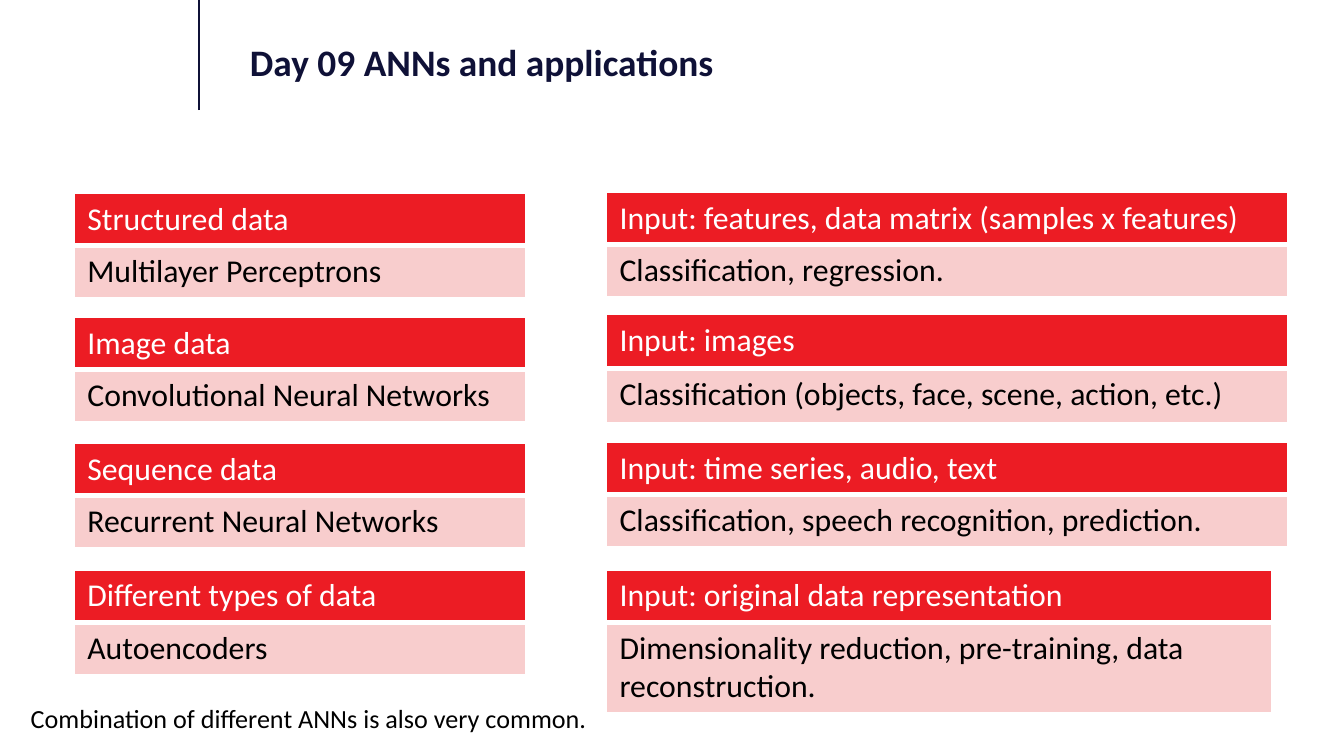
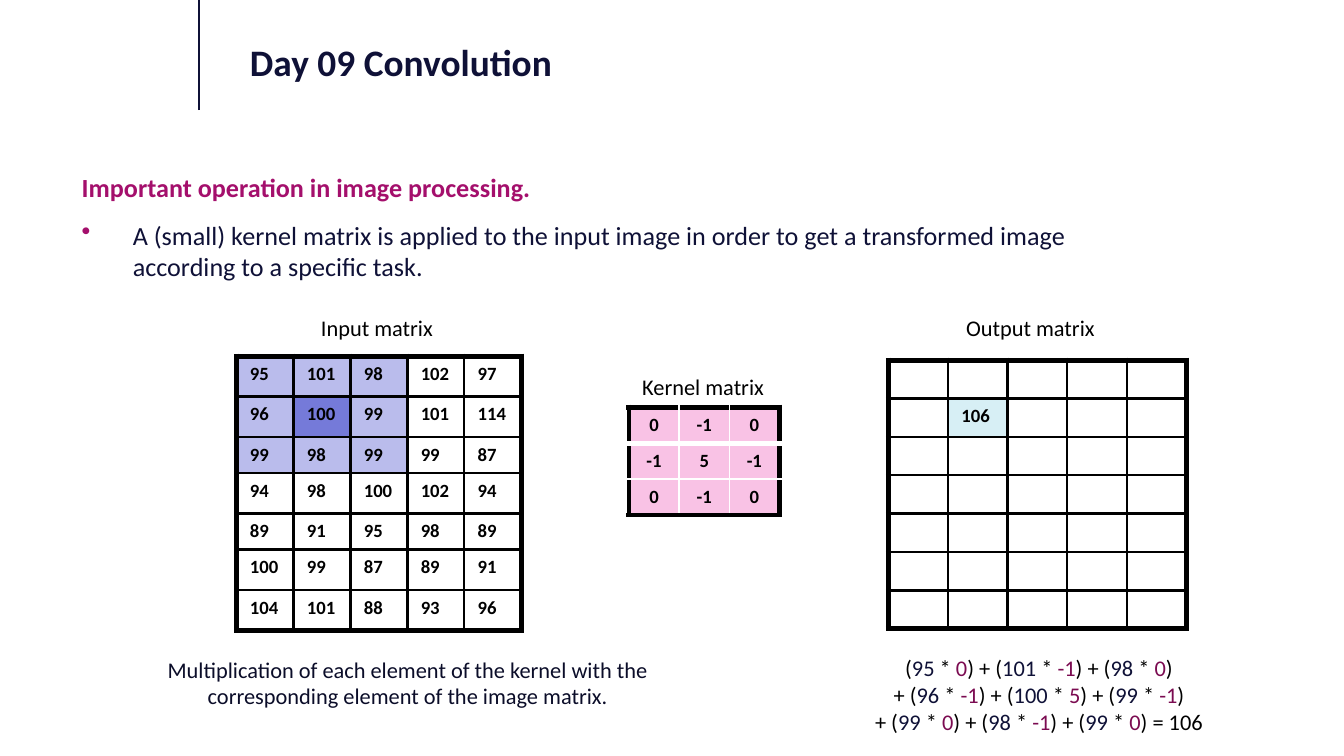
import typing
from dataclasses import dataclass

import pptx
import pptx.dml.color
import pptx.enum.shapes
import pptx.enum.text
import pptx.oxml.ns
import pptx.slide
import pptx.table
import pptx.text.text
import pptx.util
from lxml import etree

ALIGN = pptx.enum.text.PP_ALIGN
ANCHOR = pptx.enum.text.MSO_ANCHOR
AUTO_SIZE = pptx.enum.text.MSO_AUTO_SIZE

# Slide grid: 100 columns by 56.25 rows of square units
UNIT = pptx.util.Inches(0.1)
GRID_COLUMNS, GRID_ROWS = 100, 56.25

FONT = "Calibri"
NAVY, INK, MAGENTA, PLUM = "0F1137", "0B0D29", "A40F6C", "7B0B51"
BLACK, WHITE, RED, BLUSH = "000000", "FFFFFF", "EC1C24", "F8CDCD"
LILAC, VIOLET, PINK, ICE = "BABCEC", "757AD9", "F9C2E5", "D7EFF5"


class Place(typing.NamedTuple):
    """Left, top, width and height in grid units."""
    left: float
    top: float
    width: float
    height: float


class Edge(typing.NamedTuple):
    colour: str
    points: float


class Span(typing.NamedTuple):
    text: str
    colour: str = BLACK


@dataclass(frozen=True)
class Borders:
    outer: Edge
    inner: Edge
    under_header: Edge


@dataclass(frozen=True)
class CellStyle:
    text: str
    fill: str | None = WHITE
    colour: str = BLACK


@dataclass(frozen=True)
class Label:
    place: Place
    lines: list[list[Span]]
    size: float = 12
    bold: bool = False
    wrap: bool = False
    grow: bool = True
    align: ALIGN = ALIGN.LEFT
    bullet: str = ""


@dataclass(frozen=True)
class Grid:
    place: Place
    cells: list[list[CellStyle]]
    rows: list[float]
    borders: Borders
    size: float
    bold: bool = False
    align: ALIGN = ALIGN.LEFT


LIGHT = Borders(Edge(WHITE, 1), Edge(WHITE, 1), Edge(WHITE, 3))
RULED = Borders(Edge(BLACK, 3), Edge(BLACK, 1.5), Edge(BLACK, 1.5))
FRAMED = Borders(Edge(BLACK, 3), Edge(WHITE, 1), Edge(WHITE, 3))


# Shared helpers
def rgb(colour: str) -> pptx.dml.color.RGBColor:
    return pptx.dml.color.RGBColor.from_string(colour)


def units(count: float) -> pptx.util.Emu:
    return pptx.util.Emu(round(count * UNIT))


def frame(place: Place) -> tuple[pptx.util.Emu, ...]:
    return tuple(units(length) for length in place)


def set_format(target: object, values: dict[str, object]) -> None:
    for name, value in values.items():
        setattr(target, name, value)


def add_element(parent: etree._Element, tag: str, **attributes: str) -> etree._Element:
    return etree.SubElement(parent, pptx.oxml.ns.qn(tag), attributes)


def write_spans(para: pptx.text.text._Paragraph, spans: list[Span],
                size: float, bold: bool) -> None:
    for item in spans:
        span = para.add_run()
        span.text = item.text
        set_format(span.font, {"name": FONT, "size": pptx.util.Pt(size), "bold": bold})
        span.font.color.rgb = rgb(item.colour)


def add_bullet(para: pptx.text.text._Paragraph, mark: str) -> None:
    properties = para._p.get_or_add_pPr()
    indent = units(3.8)
    properties.set("marL", str(indent))
    properties.set("indent", str(-indent))
    add_element(add_element(properties, "a:buClr"), "a:srgbClr", val=MAGENTA)
    add_element(properties, "a:buChar", char=mark)


def add_label(page: pptx.slide.Slide, label: Label) -> None:
    box = page.shapes.add_textbox(*frame(label.place))
    text = box.text_frame
    set_format(text, {
        "word_wrap": label.wrap,
        "auto_size": AUTO_SIZE.SHAPE_TO_FIT_TEXT if label.grow else AUTO_SIZE.NONE,
        "vertical_anchor": ANCHOR.TOP,
    })
    for index, spans in enumerate(label.lines):
        para = text.add_paragraph() if index else text.paragraphs[0]
        para.alignment = label.align
        if label.bullet:
            add_bullet(para, label.bullet)
        write_spans(para, spans, label.size, label.bold)


def draw_borders(cell: pptx.table._Cell, edges: dict[str, Edge]) -> None:
    properties = cell._tc.get_or_add_tcPr()
    for index, (side, edge) in enumerate(edges.items()):
        line = add_element(properties, f"a:ln{side}", w=str(pptx.util.Pt(edge.points)))
        add_element(add_element(line, "a:solidFill"), "a:srgbClr", val=edge.colour)
        properties.insert(index, line)


def cell_edges(borders: Borders, row: int, column: int,
               last_row: int, last_column: int) -> dict[str, Edge]:
    below = borders.inner if row else borders.under_header
    return {
        "L": borders.inner if column else borders.outer,
        "R": borders.inner if column < last_column else borders.outer,
        "T": borders.inner if row else borders.outer,
        "B": below if row < last_row else borders.outer,
    }


def add_grid(page: pptx.slide.Slide, grid: Grid) -> None:
    row_count, column_count = len(grid.cells), len(grid.cells[0])
    table = page.shapes.add_table(row_count, column_count, *frame(grid.place)).table
    set_format(table, {"first_row": False, "horz_banding": False})
    for row, styles in enumerate(grid.cells):
        table.rows[row].height = units(grid.rows[row])
        for column, style in enumerate(styles):
            cell = table.cell(row, column)
            if style.fill:
                cell.fill.solid()
                cell.fill.fore_color.rgb = rgb(style.fill)
            else:
                cell.fill.background()
            draw_borders(cell, cell_edges(grid.borders, row, column,
                                          row_count - 1, column_count - 1))
            para = cell.text_frame.paragraphs[0]
            para.alignment = grid.align
            if style.text:
                write_spans(para, [Span(style.text, style.colour)], grid.size, grid.bold)
            else:
                add_element(para._p, "a:endParaRPr", sz=str(round(grid.size * 100)))


def add_page(deck: pptx.presentation.Presentation, heading: str) -> pptx.slide.Slide:
    page = deck.slides.add_slide(deck.slide_layouts[5])
    # Rule beside the title
    rule = page.shapes.add_connector(pptx.enum.shapes.MSO_CONNECTOR.STRAIGHT,
                                     units(14.8), units(8.2), units(14.8), 0)
    rule.line.width = pptx.util.Pt(1.25)
    rule.line.color.rgb = rgb(NAVY)
    add_element(rule._element.spPr, "a:effectLst")
    # Title
    title = page.shapes.title
    left, top, width, height = frame(Place(17.6, 2.1, 76, 4.9))
    set_format(title, {"left": left, "top": top, "width": width, "height": height})
    set_format(title.text_frame, {"word_wrap": True, "auto_size": AUTO_SIZE.NONE,
                                  "vertical_anchor": ANCHOR.MIDDLE})
    para = title.text_frame.paragraphs[0]
    para.alignment = ALIGN.LEFT
    write_spans(para, [Span(heading, NAVY)], 20, True)
    return page


# Slide 1: network types and their uses
def card(place: Place, header: str, body: str, header_share: float = 0.5) -> Grid:
    header_height = place.height * header_share
    return Grid(place, [[CellStyle(header, RED, WHITE)], [CellStyle(body, BLUSH)]],
                [header_height, place.height - header_height], LIGHT, 17)


NETWORKS = [
    ("Structured data", "Multilayer Perceptrons"),
    ("Image data", "Convolutional Neural Networks"),
    ("Sequence data", "Recurrent Neural Networks"),
    ("Different types of data", "Autoencoders"),
]
NETWORK_TOPS = [14.4, 23.6, 33, 42.4]
USES = [
    card(Place(45.1, 14.3, 50.7, 7.7),
         "Input: features, data matrix (samples x features)", "Classification, regression."),
    card(Place(45.1, 23.4, 50.7, 8.1),
         "Input: images", "Classification (objects, face, scene, action, etc.)"),
    card(Place(45.1, 32.9, 50.7, 7.7),
         "Input: time series, audio, text", "Classification, speech recognition, prediction."),
    card(Place(45.1, 42.4, 49.5, 10.5), "Input: original data representation",
         "Dimensionality reduction, pre-training, data reconstruction.", 0.37),
]


def build_applications(deck: pptx.presentation.Presentation) -> None:
    page = add_page(deck, "Day 09 ANNs and applications")
    for (data, network), top, use in zip(NETWORKS, NETWORK_TOPS, USES):
        add_grid(page, card(Place(5.5, top, 33.6, 7.7), data, network))
        add_grid(page, use)
    add_label(page, Label(Place(1.3, 51.8, 43.8, 3.4),
                          [[Span("Combination of different ANNs is also very common.")]], 14))


# Slide 2: one step of a convolution
IMAGE = [
    [95, 101, 98, 102, 97],
    [96, 100, 99, 101, 114],
    [99, 98, 99, 99, 87],
    [94, 98, 100, 102, 94],
    [89, 91, 95, 98, 89],
    [100, 99, 87, 89, 91],
    [104, 101, 88, 93, 96],
]
KERNEL = [[0, -1, 0], [-1, 5, -1], [0, -1, 0]]
SIDE = len(KERNEL)
CENTRE = (1, 1)
RESULT = sum(IMAGE[row][column] * KERNEL[row][column]
             for row in range(SIDE) for column in range(SIDE))


def input_cell(row: int, column: int) -> CellStyle:
    in_window = row < SIDE and column < SIDE
    fill = VIOLET if (row, column) == CENTRE else LILAC if in_window else WHITE
    return CellStyle(str(IMAGE[row][column]), fill)


def output_cell(row: int, column: int) -> CellStyle:
    if (row, column) == CENTRE:
        return CellStyle(str(RESULT), ICE)
    return CellStyle("", None if row < SIDE and column < SIDE else WHITE)


def matrix(rows: int, columns: int,
           make: typing.Callable[[int, int], CellStyle]) -> list[list[CellStyle]]:
    return [[make(row, column) for column in range(columns)] for row in range(rows)]


def formula_line(row: int) -> list[Span]:
    spans, opening = [], "+ (" if row else "("
    for value, weight in zip(IMAGE[row], KERNEL[row]):
        spans += [Span(opening), Span(str(value), NAVY), Span(" * "), Span(str(weight), PLUM)]
        opening = ") + ("
    return spans + [Span(f") = {RESULT}" if row == SIDE - 1 else ")")]


def build_convolution(deck: pptx.presentation.Presentation) -> None:
    page = add_page(deck, "Day 09 Convolution")
    labels = [
        Label(Place(5.1, 15.8, 76, 19.6), [[Span(
            "A (small) kernel matrix is applied to the input image in order to get "
            "a transformed image according to a specific task.", NAVY)]],
            14, wrap=True, grow=False, bullet="•"),
        Label(Place(5.1, 12.3, 76, 2.4),
              [[Span("Important operation in image processing.", MAGENTA)]],
              14, bold=True, wrap=True, grow=False),
        Label(Place(22.9, 22.9, 10.4, 3), [[Span("Input matrix")]]),
        Label(Place(46.8, 27.3, 11.2, 3), [[Span("Kernel matrix")]]),
        Label(Place(70.9, 22.9, 11.7, 3), [[Span("Output matrix")]]),
        Label(Place(7.6, 48.3, 45.5, 5), [[Span(
            "Multiplication of each element of the kernel with the corresponding "
            "element of the image matrix.", INK)]], wrap=True, align=ALIGN.CENTER),
        Label(Place(63.9, 48.2, 26.8, 7.1), [formula_line(row) for row in range(SIDE)],
              align=ALIGN.CENTER),
    ]
    grids = [
        Grid(Place(17.6, 26.5, 21.2, 20.3), matrix(7, 5, input_cell),
             [3, 3, 2.7, 3, 2.7, 3, 3], RULED, 10, True),
        Grid(Place(46.8, 30.3, 11.2, 8),
             matrix(SIDE, SIDE, lambda row, column: CellStyle(str(KERNEL[row][column]), PINK)),
             [8 / SIDE] * SIDE, FRAMED, 10, True, ALIGN.CENTER),
        Grid(Place(66.1, 26.8, 22.2, 20), matrix(7, 5, output_cell),
             [20 / 7] * 7, RULED, 10, True),
    ]
    for label in labels:
        add_label(page, label)
    for grid in grids:
        add_grid(page, grid)


def main() -> None:
    deck = pptx.Presentation()
    set_format(deck, {"slide_width": units(GRID_COLUMNS), "slide_height": units(GRID_ROWS)})
    build_applications(deck)
    build_convolution(deck)
    deck.save("out.pptx")


if __name__ == "__main__":
    main()
